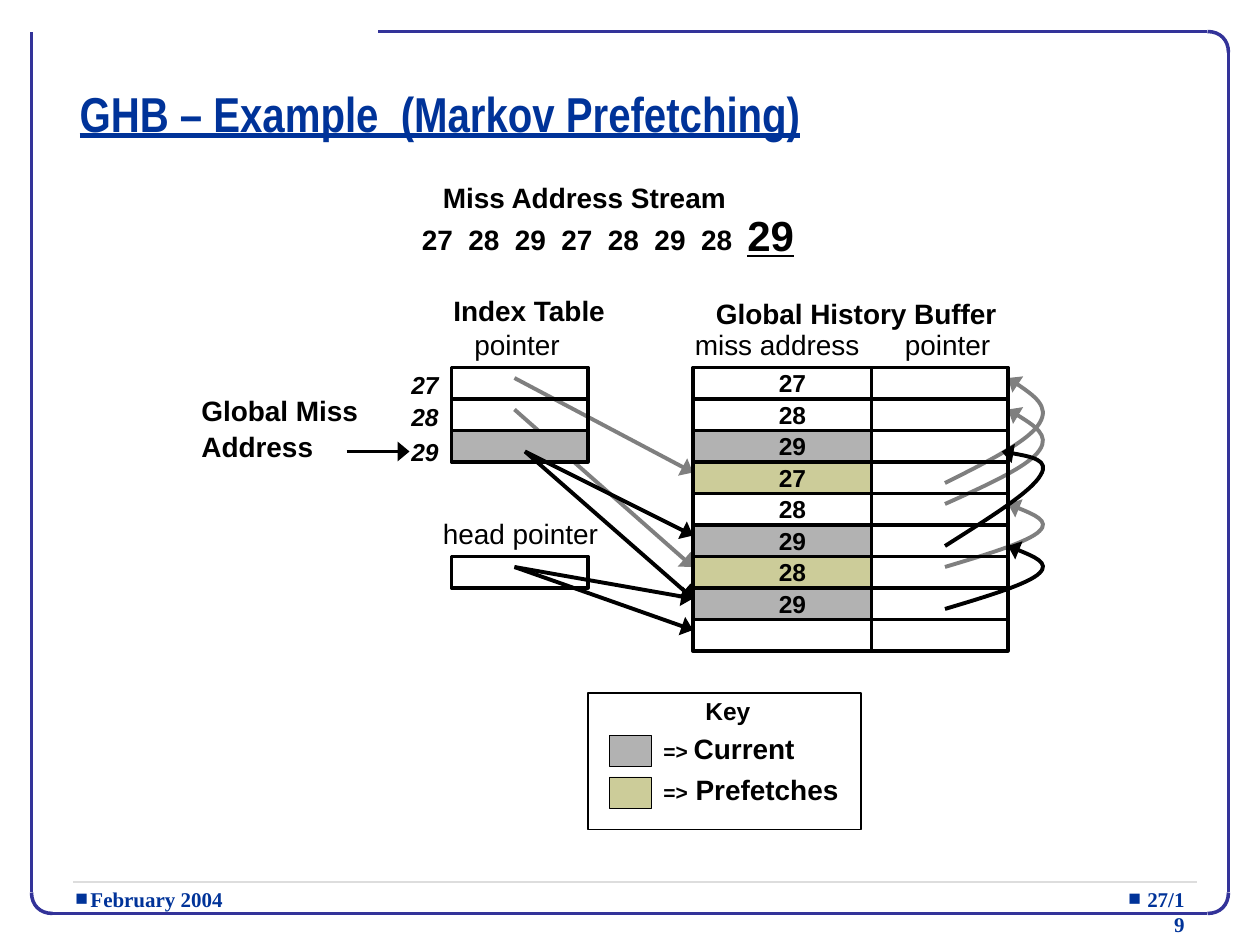
from lxml.etree import SubElement
from pptx import Presentation
from pptx.dml.color import RGBColor as RGB
from pptx.enum.shapes import MSO_CONNECTOR as CONN, MSO_SHAPE as SHAPE
from pptx.enum.text import MSO_ANCHOR as ANCHOR, MSO_AUTO_SIZE as FIT, PP_ALIGN as ALIGN
from pptx.oxml.ns import qn
from pptx.util import Inches, Pt

COLORS = {"frame": "333399", "rule": "DDDDDD", "title": "003399", "ink": "000000",
          "past": "7F7F7F", "current": "B2B2B2", "prefetch": "CCCC99"}

prs = Presentation()
prs.slide_width, prs.slide_height = Inches(10), Inches(7.5)
U = prs.slide_width // 120  # grid of 120 columns by 90 rows
slide = prs.slides.add_slide(prs.slide_layouts[6])
shapes = slide.shapes


def stroke(points, color, width, arrow=False):
    """Two points give a straight line, more give a chain of cubic curves."""
    pts = [(round(x * U), round(y * U)) for x, y in points]
    if len(pts) == 2:
        s = shapes.add_connector(CONN.STRAIGHT, *pts[0], *pts[1])
        SubElement(s.element.spPr, qn("a:effectLst"))
    else:
        builder = shapes.build_freeform(*pts[0])
        builder.add_line_segments(pts[1:], close=False)
        s = builder.convert_to_shape()
        s.shadow.inherit = False
        s.fill.background()
        outline = next(s.element.iter(qn("a:path")))
        segments = outline.findall(qn("a:lnTo"))
        for i in range(0, len(segments), 3):
            bezier = SubElement(outline, qn("a:cubicBezTo"))
            for seg in segments[i:i + 3]:
                bezier.append(seg[0])
                outline.remove(seg)
    s.line.color.rgb = RGB.from_string(COLORS[color])
    s.line.width = Pt(width)
    if arrow:
        SubElement(s.element.spPr.find(qn("a:ln")), qn("a:tailEnd"),
                   type="triangle", w="lg", len="med")


def text(x, y, w, lines, size=16, h=None, color="ink", font="Arial", bold=True,
         italic=False, underline=False, wrap=False):
    """Each line is a list of (words, size) runs, or a plain string."""
    height = h * U if h else Inches(0.1 + 0.015 * size) + Pt(1.35 * size) * (len(lines) - 1)
    sp = shapes.add_textbox(round(x * U), round(y * U), round(w * U), round(height))
    tf = sp.text_frame
    tf.word_wrap = wrap
    tf.auto_size = FIT.NONE if wrap else FIT.SHAPE_TO_FIT_TEXT
    for i, line in enumerate(lines):
        p = tf.add_paragraph() if i else tf.paragraphs[0]
        if not wrap:
            p.line_spacing = 0.9
            p.space_before = Pt(0.2 * size)
        for words, points in [(line, size)] if isinstance(line, str) else line:
            r = p.add_run()
            r.text = words
            f = r.font
            f.name, f.size, f.bold, f.italic, f.underline = font, Pt(points), bold, italic, underline
            f.color.rgb = RGB.from_string(COLORS[color])
    return tf


# Frame: four sides and three rounded corners
for side in [[(5, 87), (115, 87)], [(117, 85), (117, 5)], [(3, 85), (3, 3)], [(36, 3), (115, 3)],
             [(115, 3), (116.2, 3), (117, 3.8), (117, 5)],
             [(5, 87), (3.8, 87), (3, 86.2), (3, 85)],
             [(115, 87), (116.2, 87), (117, 86.2), (117, 85)]]:
    stroke(side, "frame", 2)
stroke([(7, 84), (114, 84)], "rule", 0.75)

# Footer with square bullets
for x, w, words, align, indent in [(6, 19, "February 2004", ALIGN.LEFT, 0.12),
                                   (106, 8, "27/19", ALIGN.RIGHT, 0.15)]:
    tf = text(x, 83.8, w, [words], 12, h=3, color="title", font="Times New Roman", wrap=True)
    p = tf.paragraphs[0]
    p.alignment = align
    pPr = p._p.get_or_add_pPr()
    pPr.set("marL", str(Inches(indent)))
    pPr.set("indent", str(-Inches(indent)))
    SubElement(pPr, qn("a:buFont"), typeface="Arial")
    SubElement(pPr, qn("a:buChar"), char="■")

# Title
tf = text(6.4, 5, 107.2, ["GHB – Example  (Markov Prefetching)"], 28, h=11.6, color="title",
          font="Arial Narrow", underline=True, wrap=True)
tf.vertical_anchor = ANCHOR.MIDDLE

# Earlier pointers, behind the tables
for start, end in [((49, 39), (66, 54)), ((49, 36), (66, 45))]:
    stroke([start, end], "past", 2.25, arrow=True)

# Loops back from a history entry: (column, share of the climb)
WIDE = [(90, 0), (94, 0.2), (98, 0.4), (99, 0.57), (100, 0.73), (98, 0.87), (96, 1)]
FLAT = [(90, 0), (94.1, 0.29), (98.2, 0.57), (99.1, 0.75), (100, 0.91), (97.7, 0.96), (95.4, 1)]
for start, end in [(48, 39), (54, 48), (46, 36)]:
    stroke([(x, start + (end - start) * t) for x, t in WIDE], "past", 2.25, arrow=True)

# Cells: column, row, width, height, fill, line width
history = [("27", None), ("28", None), ("29", "current"), ("27", "prefetch"), ("28", None),
           ("29", "current"), ("28", "prefetch"), ("29", "current"), ("", None)]
index = [("27", None), ("28", None), ("29", "current")]
cells = [(43, 35 + 3 * i, 13, 3, fill, 2) for i, (_, fill) in enumerate(index)]
cells += [(66, 35 + 3 * i, 17, 3, fill, 2) for i, (_, fill) in enumerate(history)]
cells += [(83, 35 + 3 * i, 13, 3, None, 2) for i in range(len(history))]
cells += [(43, 53, 13, 3, None, 2),  # head pointer
          (56, 66, 26, 13, None, 1),  # key
          (58, 70, 4, 3, "current", 0.25), (58, 74, 4, 3, "prefetch", 0.25)]
for x, y, w, h, fill, width in cells:
    s = shapes.add_shape(SHAPE.RECTANGLE, x * U, y * U, w * U, h * U)
    s.shadow.inherit = False
    if fill:
        s.fill.solid()
        s.fill.fore_color.rgb = RGB.from_string(COLORS[fill])
    else:
        s.fill.background()
    s.line.color.rgb = RGB.from_string(COLORS["ink"])
    s.line.width = Pt(width)

# Cell numbers
for i, (number, _) in enumerate(history):
    if number:
        text(73, 34.8 + 3 * i, 5, [number], 14)
for (number, _), y in zip(index, (35, 38, 41.3)):
    text(38, y, 5, [number], 14, italic=True)

# Headings and labels
for x, y, w, lines, bold in [
        (41, 17, 29.5, ["Miss Address Stream"], True),
        (39, 21, 32.2, ["27  28  29  27  28  29  28"], True),
        (42, 27.7, 17, ["Index Table"], True),
        (44, 31, 10.6, ["pointer"], False),
        (67, 28, 29.3, ["Global History Buffer"], True),
        (65, 31, 18.1, ["miss address"], False),
        (85, 31, 10.6, ["pointer"], False),
        (41, 49, 17.3, ["head pointer"], False),
        (18, 37.3, 17.4, ["Global Miss", "Address"], True),
        (62, 69.4, 15.7, [[("=> ", 12), ("Current", 16)]], True),
        (62, 73.4, 19.1, [[("=>", 12), (" Prefetches", 16)]], True)]:
    text(x, y, w, lines, bold=bold)
text(66, 66, 6.7, ["Key"], 14)
text(70, 19.9, 7, ["29"], 24, underline=True)

# Current pointers, in front
for start, end in [((49, 54), (66, 57)), ((49, 54), (66, 60)), ((50, 43), (66, 57)),
                   ((33, 43), (39, 43)), ((50, 43), (66, 51))]:
    stroke([start, end], "ink", 2.25, arrow=True)
for loop, start, end in [(WIDE, 58, 52), (FLAT, 52, 43)]:
    stroke([(x, start + (end - start) * t) for x, t in loop], "ink", 2.25, arrow=True)

prs.save("out.pptx")
